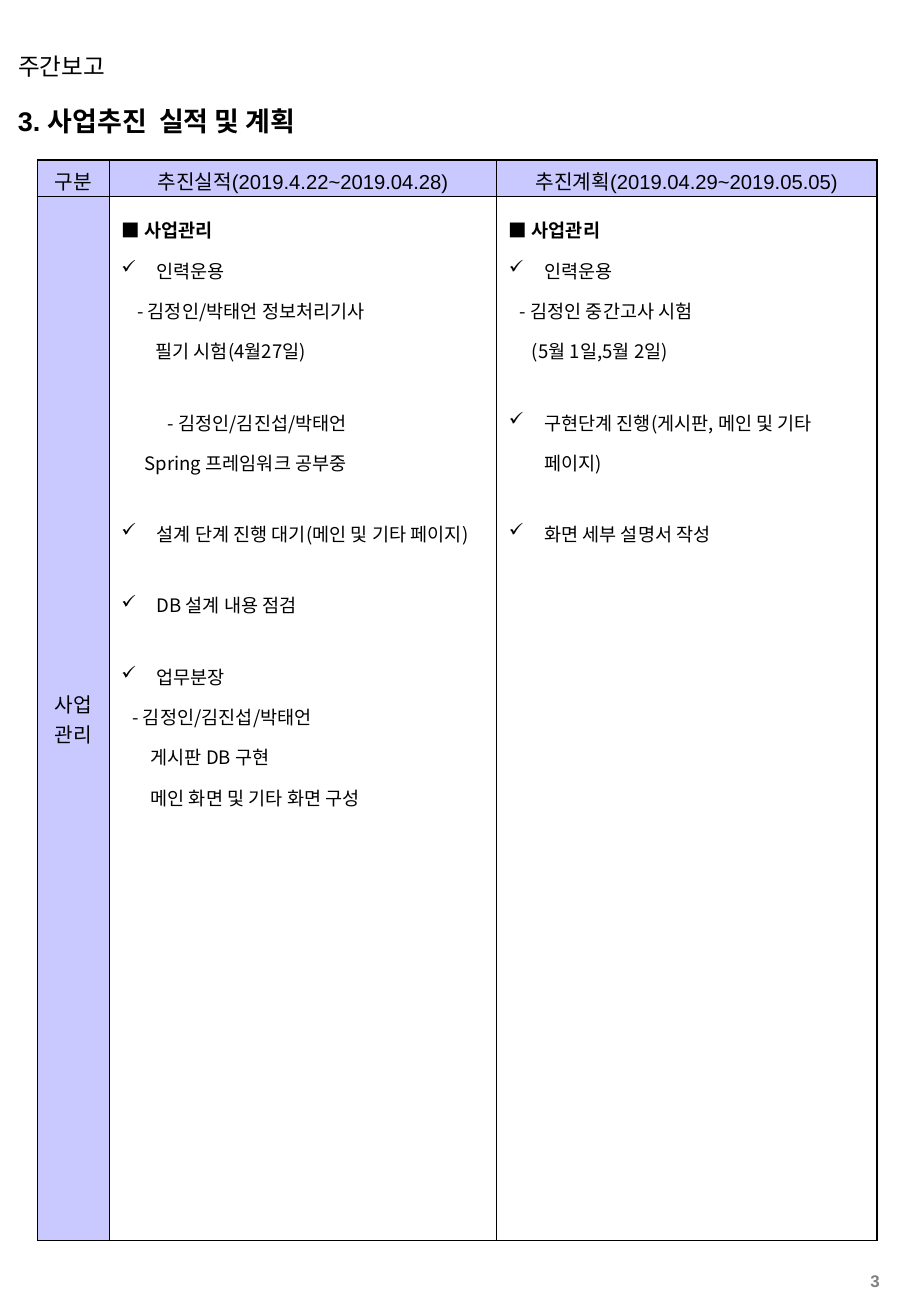
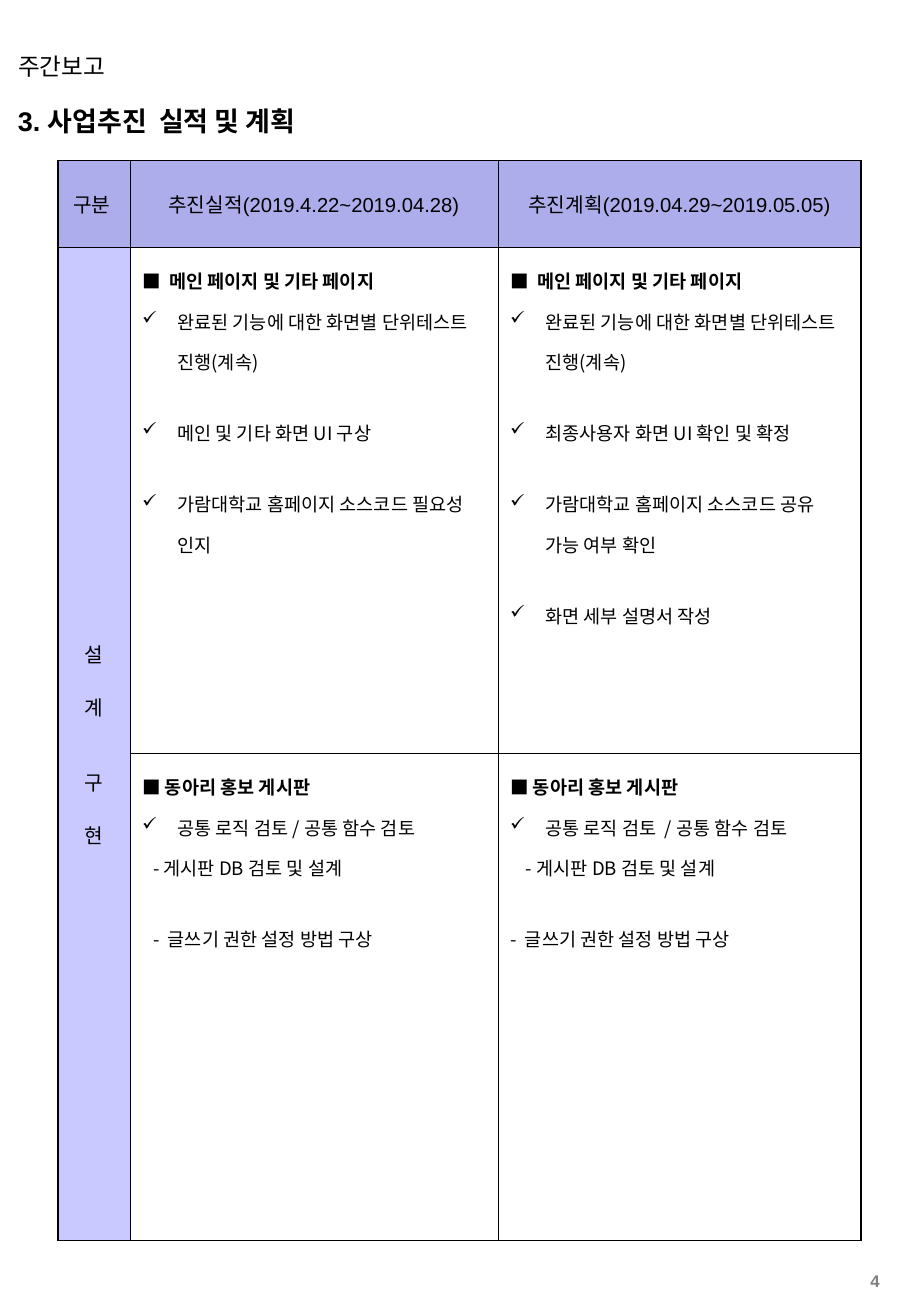
from typing import NamedTuple

from lxml import etree
from pptx import Presentation
from pptx.dml.color import RGBColor
from pptx.enum.text import MSO_ANCHOR, PP_ALIGN
from pptx.oxml.ns import qn
from pptx.util import Inches, Pt

LEFT, CENTER, RIGHT = PP_ALIGN.LEFT, PP_ALIGN.CENTER, PP_ALIGN.RIGHT
TOP, MIDDLE = MSO_ANCHOR.TOP, MSO_ANCHOR.MIDDLE

COLORS = {
    "ink": "000000",
    "page_number": "808080",
    "lavender": "C9C9FF",
    "violet": "ADADEB",
}
LATIN, KOREAN = "Arial", "Noto Sans CJK KR"
THIN, THICK = 0.45, 1.08
GAP = 18.3
HANG = 0.29
HEADINGS = ["추진실적(2019.4.22~2019.04.28)", "추진계획(2019.04.29~2019.05.05)"]


class Line(NamedTuple):
    """One paragraph of a report cell."""

    text: str
    kind: str = "check"
    left: float = 0
    gap: float = 0


def write(frame, text, first=False, size=11, font=KOREAN, bold=False, color="ink",
          align=LEFT, before=0, spacing=None, left=0, hang=0, bullet=None):
    """Write one formatted paragraph into a text frame."""
    paragraph = frame.paragraphs[0] if first else frame.add_paragraph()
    paragraph.alignment = align
    if spacing:
        paragraph.line_spacing = spacing
    if before:
        paragraph.space_before = Pt(before)
    properties = paragraph._p.get_or_add_pPr()
    properties.set("marL", str(Inches(left)))
    properties.set("indent", str(-Inches(hang)))
    if bullet:
        tint = etree.SubElement(properties, qn("a:buClr"))
        etree.SubElement(tint, qn("a:srgbClr"), val=COLORS["ink"])
        etree.SubElement(properties, qn("a:buChar"), char=bullet)
    run = paragraph.add_run()
    run.text = text
    run.font.size = Pt(size)
    run.font.bold = bold
    run.font.color.rgb = RGBColor.from_string(COLORS[color])
    run.font.name = font
    etree.SubElement(run._r.get_or_add_rPr(), qn("a:ea"), typeface=KOREAN)


def add_label(slide, box, text, **style):
    """Place a one-line Arial text box."""
    frame = slide.shapes.add_textbox(*map(Inches, box)).text_frame
    frame.word_wrap = True
    write(frame, text, first=True, font=LATIN, **style)


def add_frame(slide, number):
    """Place the report name, title and page number that the slides share."""
    add_label(slide, (6.78, 10.42, 0.56, 0.24), str(number), size=10, bold=True,
              color="page_number", align=RIGHT)
    add_label(slide, (0.05, 0.38, 5.95, 0.34), "주간보고", size=14)
    add_label(slide, (0.05, 0.81, 5.36, 0.37), "3. 사업추진  실적 및 계획",
              size=16, bold=True)


def dress_cell(cell, thick_sides, fill=None, anchor=TOP):
    """Set the borders, fill and anchor of a cell."""
    properties = cell._tc.get_or_add_tcPr()
    for side in "LRTB":
        width = THICK if side in thick_sides else THIN
        border = etree.SubElement(properties, qn(f"a:ln{side}"), w=str(Pt(width)))
        solid = etree.SubElement(border, qn("a:solidFill"))
        etree.SubElement(solid, qn("a:srgbClr"), val=COLORS["ink"])
    if fill:
        cell.fill.solid()
        cell.fill.fore_color.rgb = RGBColor.from_string(COLORS[fill])
    else:
        cell.fill.background()
    cell.vertical_anchor = anchor


def fill_report(cell, lines):
    """Write headings, checked items and dashed details into a cell."""
    for index, line in enumerate(lines):
        checked = line.kind == "check"
        detail = line.kind == "detail"
        write(cell.text_frame, line.text, first=index == 0, spacing=1.5,
              before=line.gap, bold=line.kind == "heading",
              left=line.left if detail else HANG, hang=0 if detail else HANG,
              bullet="✓" if checked else None)


def add_report_table(slide, box, columns, rows, corner, stage, reports,
                     header_fill, thick_sides):
    """Place the table of results and plans for one stage."""
    table = slide.shapes.add_table(len(rows), len(columns), *map(Inches, box)).table
    table.first_row = table.horz_banding = False
    for column, width in zip(table.columns, columns):
        column.width = Inches(width)
    for row, height in zip(table.rows, rows):
        row.height = Inches(height)

    for r in range(len(rows)):
        for c in range(len(columns)):
            edges = {"L": c == 0, "R": c == len(columns) - 1, "T": r == 0}
            thick = [side for side in thick_sides if edges[side]]
            fill = header_fill if r == 0 else "lavender" if c == 0 else None
            dress_cell(table.cell(r, c), thick, fill, MIDDLE if fill else TOP)

    for c, heading in enumerate([corner, *HEADINGS]):
        write(table.cell(0, c).text_frame, heading, first=True, size=12, font=LATIN,
              align=CENTER, before=15)
    stage_cell = table.cell(1, 0)
    if len(rows) > 2:
        stage_cell.merge(table.cell(len(rows) - 1, 0))
    for index, (word, before) in enumerate(stage):
        write(stage_cell.text_frame, word, first=index == 0, size=12, font=LATIN,
              align=CENTER, before=before)
    for r, pair in enumerate(reports, 1):
        for c, lines in enumerate(pair, 1):
            fill_report(table.cell(r, c), lines)


MANAGEMENT = [[
    [
        Line("■ 사업관리", "heading"),
        Line("인력운용"),
        Line("- 김정인/박태언 정보처리기사", "detail", 0.13),
        Line("필기 시험(4월27일)", "detail", 0.28),
        Line("- 김정인/김진섭/박태언", "detail", 0.38, GAP),
        Line("Spring 프레임워크 공부중", "detail", 0.19),
        Line("설계 단계 진행 대기(메인 및 기타 페이지)", gap=GAP),
        Line("DB 설계 내용 점검", gap=GAP),
        Line("업무분장", gap=GAP),
        Line("- 김정인/김진섭/박태언", "detail", 0.09),
        Line("게시판 DB 구현", "detail", 0.24),
        Line("메인 화면 및 기타 화면 구성", "detail", 0.24),
    ],
    [
        Line("■ 사업관리", "heading"),
        Line("인력운용"),
        Line("- 김정인 중간고사 시험", "detail", 0.09),
        Line("(5월 1일,5월 2일)", "detail", 0.19),
        Line("구현단계 진행(게시판, 메인 및 기타 페이지)", gap=GAP),
        Line("화면 세부 설명서 작성", gap=GAP),
    ],
]]

DEVELOPMENT = [
    [
        [
            Line("■  메인 페이지 및 기타 페이지", "heading"),
            Line("완료된 기능에 대한 화면별 단위테스트 진행(계속)"),
            Line("메인 및 기타 화면 UI 구상", gap=GAP),
            Line("가람대학교 홈페이지 소스코드 필요성 인지", gap=GAP),
        ],
        [
            Line("■  메인 페이지 및 기타 페이지", "heading"),
            Line("완료된 기능에 대한 화면별 단위테스트 진행(계속)"),
            Line("최종사용자 화면 UI 확인 및 확정", gap=GAP),
            Line("가람대학교 홈페이지 소스코드 공유 가능 여부 확인", gap=GAP),
            Line("화면 세부 설명서 작성", gap=GAP),
        ],
    ],
    [
        [
            Line("■ 동아리 홍보 게시판", "heading"),
            Line("공통 로직 검토 / 공통 함수 검토"),
            Line("- 게시판 DB 검토 및 설계", "detail", 0.09),
            Line("-  글쓰기 권한 설정 방법 구상", "detail", 0.09, GAP),
        ],
        [
            Line("■ 동아리 홍보 게시판", "heading"),
            Line("공통 로직 검토  / 공통 함수 검토"),
            Line("- 게시판 DB 검토 및 설계", "detail", 0.13),
            Line("-  글쓰기 권한 설정 방법 구상", "detail", 0, GAP),
        ],
    ],
]

REPORTS = [
    dict(box=(0.31, 1.32, 6.9, 8.9), columns=(0.59, 3.19, 3.13), rows=(0.3, 8.6),
         corner="구분", stage=[("사업", 0), ("관리", 0)], reports=MANAGEMENT,
         header_fill="lavender", thick_sides="LRT"),
    dict(box=(0.48, 1.32, 6.61, 8.9), columns=(0.59, 3.03, 2.99),
         rows=(0.72, 4.17, 4.01), corner="구분 ",
         stage=[("설", 0), ("계", 13.7), ("구", 27.4), ("현", 13.7)],
         reports=DEVELOPMENT, header_fill="violet", thick_sides="LR"),
]


def main():
    """Build and save the weekly report."""
    deck = Presentation()
    deck.slide_width, deck.slide_height = Inches(7.5), Inches(10.84)
    for number, report in enumerate(REPORTS, 3):
        slide = deck.slides.add_slide(deck.slide_layouts[6])
        add_frame(slide, number)
        add_report_table(slide, **report)
    deck.save("out.pptx")


if __name__ == "__main__":
    main()
